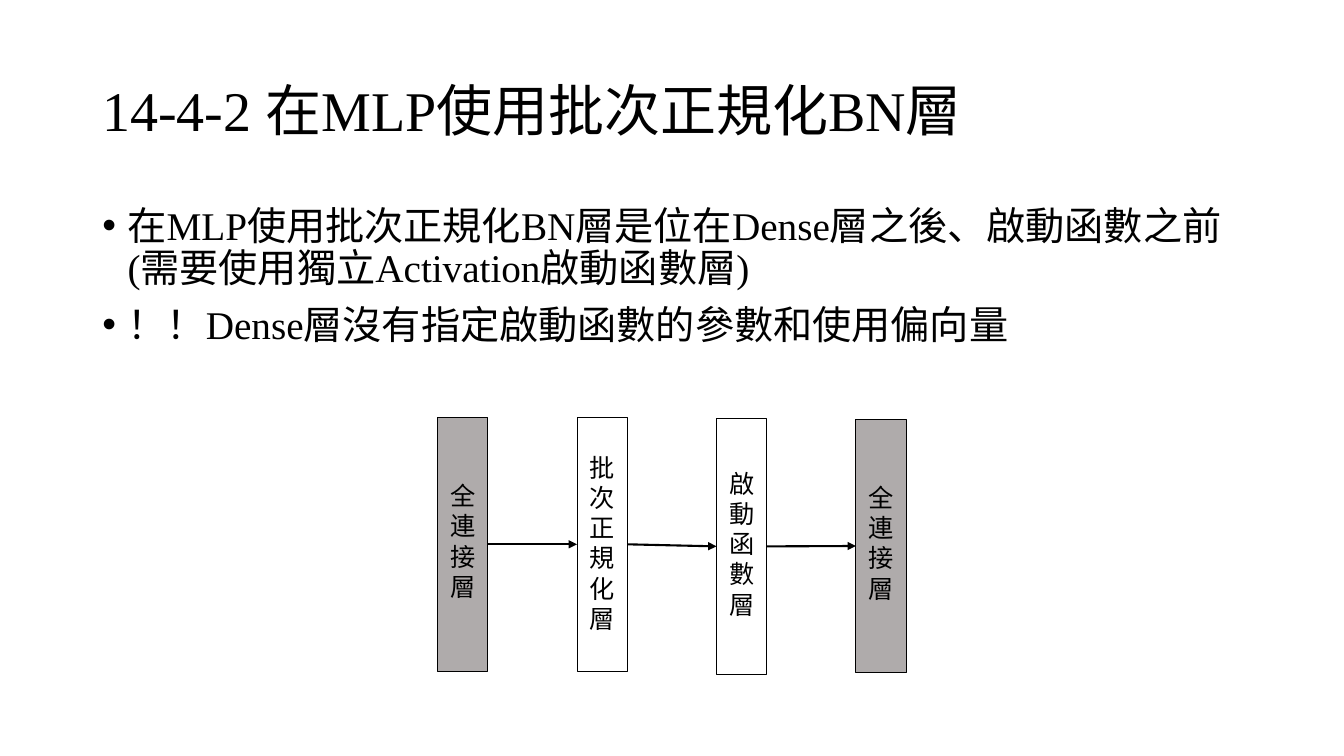
from dataclasses import dataclass
from typing import Optional

from lxml import etree
from pptx import Presentation
from pptx import util as u
from pptx.dml.color import RGBColor
from pptx.enum import shapes, text
from pptx.oxml import ns

BLACK = RGBColor(0x00, 0x00, 0x00)
GRAY = RGBColor(0xAF, 0xAB, 0xAB)
FONT_NAME = "Times New Roman"

SLIDE_WIDTH, SLIDE_HEIGHT = u.Inches(13.333), u.Inches(7.5)
COLUMN, ROW = SLIDE_WIDTH / 160, SLIDE_HEIGHT / 90

MARGIN, CONTENT_WIDTH = 11, 138
FIRST_LAYER, LAYER_PITCH, LAYER_WIDTH = 52.1, 16.6, 6

TITLE = "14-4-2 在MLP使用批次正規化BN層"
BULLETS = [
    "在MLP使用批次正規化BN層是位在Dense層之後、啟動函數之前(需要使用獨立Activation啟動函數層)",
    "！！Dense層沒有指定啟動函數的參數和使用偏向量",
]


@dataclass(frozen=True)
class Layer:
    """A network layer; top, height and text_offset are in grid rows."""
    label: str
    top: float
    height: float
    text_offset: float
    fill: Optional[RGBColor] = None


LAYERS = [
    Layer("全連接層", 49.7, 30.2, 7.5, GRAY),
    Layer("批次正規化層", 49.7, 30.2, 4.1),
    Layer("啟動函數層", 49.8, 30.5, 5.9),
    Layer("全連接層", 49.9, 30.2, 7.5, GRAY),
]


def columns(count: float) -> int:
    return round(count * COLUMN)


def rows(count: float) -> int:
    return round(count * ROW)


def set_font(paragraph, size: float) -> None:
    for name, value in {"name": FONT_NAME, "size": u.Pt(size)}.items():
        setattr(paragraph.font, name, value)
    paragraph.font.color.rgb = BLACK


def add_bullet(paragraph) -> None:
    properties = paragraph._p.get_or_add_pPr()
    indent = u.Inches(0.25)
    properties.set("marL", str(indent))
    properties.set("indent", str(-indent))
    etree.SubElement(properties, ns.qn("a:buFont")).set("typeface", "Arial")
    etree.SubElement(properties, ns.qn("a:buChar")).set("char", "•")


def add_text(slide, lines: list[str], top: float, height: float, size: float,
             anchor, bulleted: bool = False) -> None:
    box = slide.shapes.add_textbox(columns(MARGIN), rows(top),
                                   columns(CONTENT_WIDTH), rows(height))
    frame = box.text_frame
    for name, value in {"word_wrap": True, "vertical_anchor": anchor}.items():
        setattr(frame, name, value)
    for index, line in enumerate(lines):
        paragraph = frame.add_paragraph() if index else frame.paragraphs[0]
        paragraph.text = line
        paragraph.line_spacing = 0.9
        paragraph.space_before = u.Pt(10 if index else 0)
        if bulleted:
            add_bullet(paragraph)
        set_font(paragraph, size)


def add_layer(slide, layer: Layer, index: int):
    shape = slide.shapes.add_shape(
        shapes.MSO_SHAPE.RECTANGLE,
        columns(FIRST_LAYER + index * LAYER_PITCH), rows(layer.top),
        columns(LAYER_WIDTH), rows(layer.height))
    shape.shadow.inherit = False
    if layer.fill is None:
        shape.fill.background()
    else:
        shape.fill.solid()
        shape.fill.fore_color.rgb = layer.fill
    shape.line.color.rgb = BLACK
    shape.line.width = u.Pt(0.75)
    frame = shape.text_frame
    frame_format = {
        "word_wrap": True,
        "vertical_anchor": text.MSO_ANCHOR.TOP,
        "margin_top": rows(layer.text_offset),
    }
    for name, value in frame_format.items():
        setattr(frame, name, value)
    paragraph = frame.paragraphs[0]
    paragraph.text = layer.label
    paragraph.alignment = text.PP_ALIGN.CENTER
    set_font(paragraph, 18)
    return shape


def add_arrow(slide, source, target) -> None:
    """Join the right side of source to the left side of target."""
    connector = slide.shapes.add_connector(
        shapes.MSO_CONNECTOR.STRAIGHT, 0, 0, 0, 0)
    connector.begin_connect(source, 3)
    connector.end_connect(target, 1)
    connector.line.color.rgb = BLACK
    connector.line.width = u.Pt(1.5)
    line = connector.line._get_or_add_ln()
    etree.SubElement(line, ns.qn("a:tailEnd")).set("type", "triangle")
    etree.SubElement(connector._element.spPr, ns.qn("a:effectLst"))


def main() -> None:
    presentation = Presentation()
    presentation.slide_width = SLIDE_WIDTH
    presentation.slide_height = SLIDE_HEIGHT
    slide = presentation.slides.add_slide(presentation.slide_layouts[6])

    add_text(slide, [TITLE], 4.8, 17.4, 40, text.MSO_ANCHOR.MIDDLE)
    add_text(slide, BULLETS, 24, 57.1, 28, text.MSO_ANCHOR.TOP, bulleted=True)

    boxes = [add_layer(slide, layer, index) for index, layer in enumerate(LAYERS)]
    for source, target in zip(boxes, boxes[1:]):
        add_arrow(slide, source, target)

    presentation.save("out.pptx")


if __name__ == "__main__":
    main()
